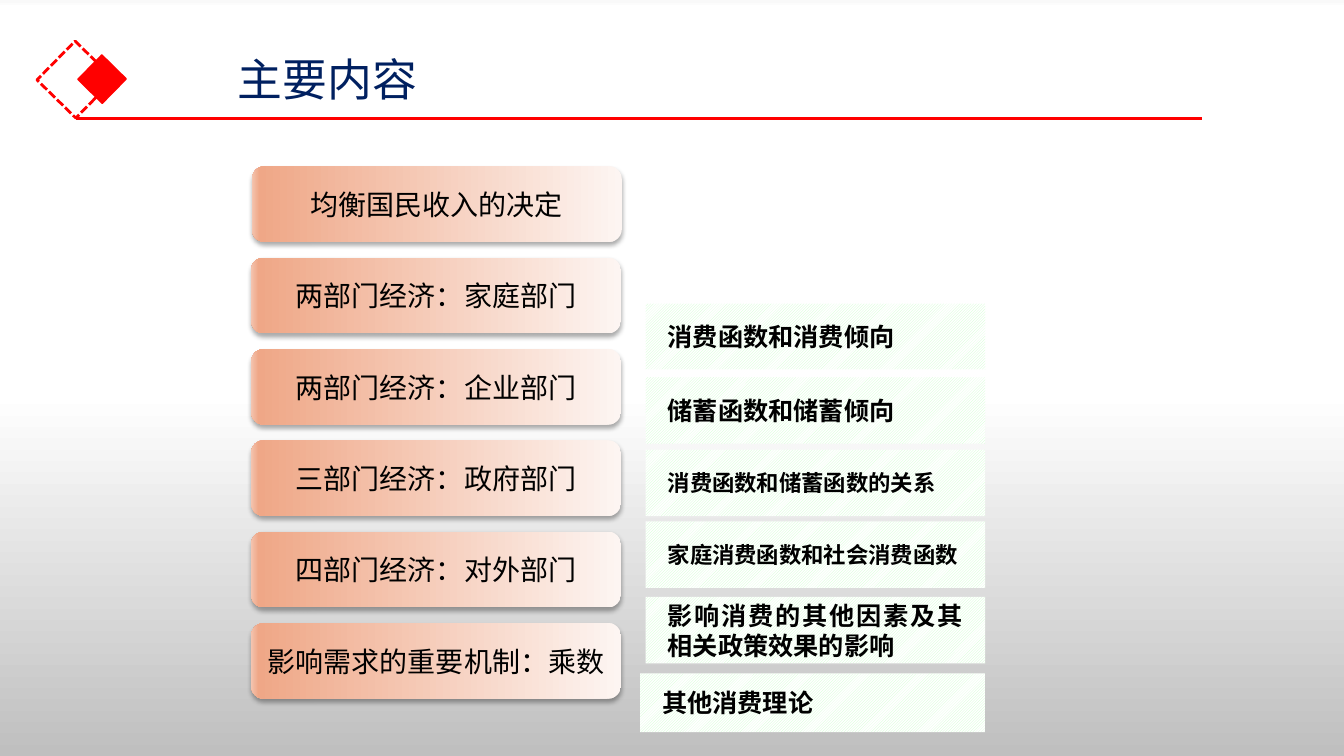
"""Build the contents slide: six main topics and six subtopics."""
from dataclasses import dataclass

from lxml import etree
from pptx import Presentation
from pptx import util as u
from pptx.dml.color import RGBColor
from pptx.enum import dml, shapes, text
from pptx.oxml import ns

RED = RGBColor(0xFF, 0, 0)
NAVY = RGBColor(0, 0x20, 0x60)
BLACK = RGBColor(0, 0, 0)
WHITE = RGBColor(0xFF, 0xFF, 0xFF)
MINT = RGBColor(0xCC, 0xFF, 0xCC)
PALE = RGBColor(0xFD, 0xF5, 0xF2)
CORAL = RGBColor(0xEF, 0xA7, 0x87)
PEACH = RGBColor(0xF4, 0xC4, 0xAF)
MIST = RGBColor(0xF9, 0xF9, 0xF9)
GREY = RGBColor(0xBF, 0xBF, 0xBF)
CJK = "Noto Sans CJK SC"
LATIN = "Calibri"
KINDS = shapes.MSO_SHAPE


@dataclass
class Box:
    """Hold a label, its place and its text size."""
    label: str
    left: float
    top: float
    width: float
    height: float
    size: float


TOPICS = [
    Box(label, 180 if i == 0 else 179.4, 118.8 + 65.25 * i, 264.2, 54, 20)
    for i, label in enumerate([
        "均衡国民收入的决定", "两部门经济：家庭部门", "两部门经济：企业部门",
        "三部门经济：政府部门", "四部门经济：对外部门", "影响需求的重要机制：乘数"])
]
DETAILS = [
    Box("消费函数和消费倾向", 461.2, 216.9, 242.6, 47, 18),
    Box("储蓄函数和储蓄倾向", 461.2, 269.5, 242.6, 47.5, 18),
    Box("消费函数和储蓄函数的关系", 461.2, 321.2, 242.6, 47.5, 16),
    Box("家庭消费函数和社会消费函数", 461.2, 372.4, 242.6, 47.5, 16),
    Box("影响消费的其他因素及其相关政策效果的影响", 461.2, 426.4, 242.6, 47.5, 18),
    Box("其他消费理论", 457.2, 481, 246.4, 42, 18),
]


def blend(fill, root, stops: list[tuple[int, RGBColor]], angle: float) -> None:
    """Give a fill a linear gradient with any number of stops."""
    fill.gradient()
    fill.gradient_angle = angle
    group = next(root.iter(ns.qn("a:gsLst")))
    for old in list(group):
        group.remove(old)
    for place, color in stops:
        stop = etree.SubElement(group, ns.qn("a:gs"), pos=str(place * 1000))
        etree.SubElement(stop, ns.qn("a:srgbClr"), val=str(color))


def shade(shape) -> None:
    """Add a soft shadow below a shape."""
    effects = next(shape._element.iter(ns.qn("a:effectLst")))
    outer = etree.SubElement(
        effects, ns.qn("a:outerShdw"), blurRad=str(u.Pt(3.5)),
        dist=str(u.Pt(2.2)), dir="5400000", algn="ctr", rotWithShape="0")
    color = etree.SubElement(outer, ns.qn("a:srgbClr"), val=str(BLACK))
    etree.SubElement(color, ns.qn("a:alpha"), val="32000")


def add(slide, kind, left: float, top: float, width: float, height: float):
    """Add a preset shape without the theme's shadow."""
    shape = slide.shapes.add_shape(
        kind, u.Pt(left), u.Pt(top), u.Pt(width), u.Pt(height))
    shape.shadow.inherit = False
    return shape


def write(shape, label: str, size: float, face: str, color: RGBColor,
          align, bold: bool = False) -> None:
    """Put one formatted paragraph in a shape."""
    frame = shape.text_frame
    frame.text = label
    frame.word_wrap = True
    para = frame.paragraphs[0]
    para.alignment = align
    run = para.runs[0]
    run.font.size = u.Pt(size)
    run.font.name = face
    run.font.bold = bold
    run.font.color.rgb = color
    etree.SubElement(run.font._element, ns.qn("a:ea"), typeface=CJK)


def label(slide, box: Box, kind):
    """Add a borderless box with its text in the middle."""
    shape = add(slide, kind, box.left, box.top, box.width, box.height)
    shape.line.fill.background()
    shape.text_frame.vertical_anchor = text.MSO_ANCHOR.MIDDLE
    return shape


def topic(slide, box: Box) -> None:
    """Add a main topic."""
    shape = label(slide, box, KINDS.ROUNDED_RECTANGLE)
    blend(shape.fill, shape._element,
          [(0, PALE), (98, CORAL), (100, PEACH)], 180)
    shade(shape)
    write(shape, box.label, box.size, CJK, BLACK, text.PP_ALIGN.CENTER)


def detail(slide, box: Box) -> None:
    """Add a subtopic."""
    shape = label(slide, box, KINDS.RECTANGLE)
    shape.fill.patterned()
    shape.fill.pattern = dml.MSO_PATTERN.LIGHT_UPWARD_DIAGONAL
    shape.fill.fore_color.rgb = MINT
    shape.fill.back_color.rgb = WHITE
    shape.text_frame.margin_left = shape.text_frame.margin_right = u.Pt(15.8)
    write(shape, box.label, box.size, LATIN, BLACK,
          text.PP_ALIGN.JUSTIFY, True)


def header(slide) -> None:
    """Add the two diamonds, the rule and the title."""
    frame = add(slide, KINDS.RECTANGLE, 34.5, 37.4, 38.9, 38.9)
    frame.fill.background()
    frame.line.dash_style = dml.MSO_LINE.SQUARE_DOT
    gem = add(slide, KINDS.RECTANGLE, 60.7, 44.3, 24.5, 24.5)
    gem.fill.solid()
    gem.fill.fore_color.rgb = RED
    for shape, width in ((frame, 2), (gem, 1)):
        shape.rotation = 314.5
        shape.line.color.rgb = RED
        shape.line.width = u.Pt(width)
    rule = slide.shapes.add_connector(
        shapes.MSO_CONNECTOR.STRAIGHT,
        u.Pt(54), u.Pt(84.4), u.Pt(858.4), u.Pt(84.4))
    rule.line.color.rgb = RED
    rule.line.width = u.Pt(2.25)
    etree.SubElement(rule._element.spPr, ns.qn("a:effectLst"))
    title = slide.shapes.add_textbox(
        u.Pt(162.8), u.Pt(33.1), u.Pt(357), u.Pt(46))
    write(title, "主要内容", 32, CJK, NAVY, text.PP_ALIGN.LEFT)


def main() -> None:
    """Build and save the slide."""
    deck = Presentation()
    deck.slide_width, deck.slide_height = u.Pt(960), u.Pt(540)
    slide = deck.slides.add_slide(deck.slide_layouts[6])
    blend(slide.background.fill, slide._element,
          [(0, MIST), (1, WHITE), (52, WHITE), (100, GREY)], 270)
    header(slide)
    for box in TOPICS:
        topic(slide, box)
    for box in DETAILS:
        detail(slide, box)
    deck.save("out.pptx")


if __name__ == "__main__":
    main()
